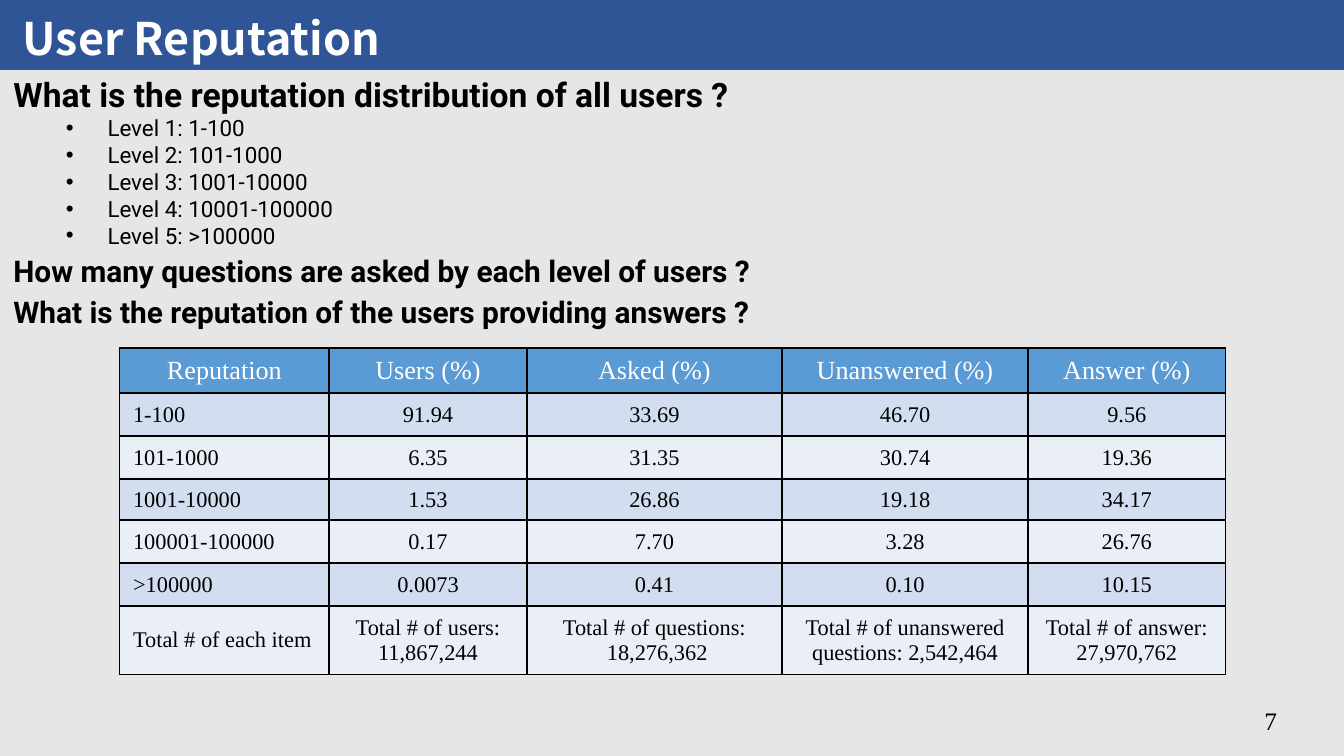
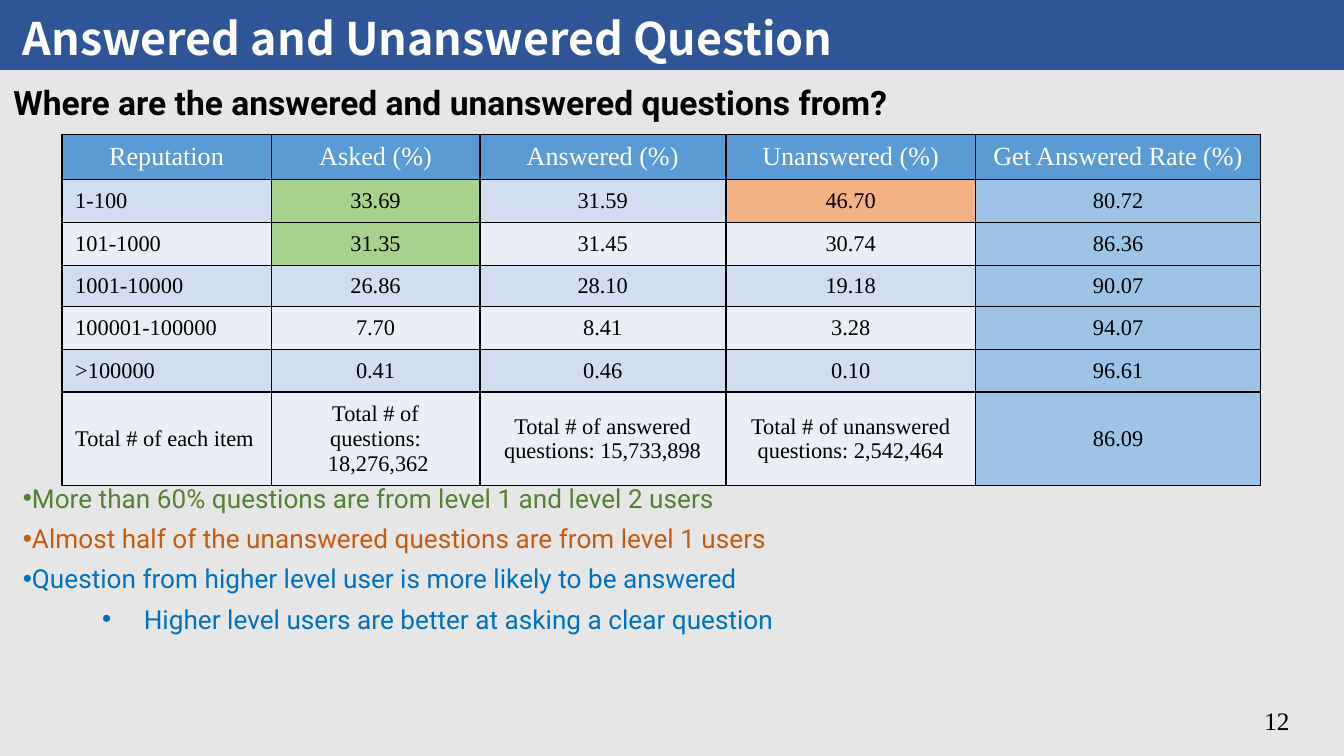
from lxml import etree
from pptx import Presentation
from pptx.dml.color import RGBColor
from pptx.enum.shapes import MSO_SHAPE
from pptx.enum.text import MSO_ANCHOR, MSO_AUTO_SIZE, PP_ALIGN
from pptx.oxml import parse_xml
from pptx.oxml.ns import nsdecls, qn
from pptx.util import Inches, Pt

TOP, MIDDLE = MSO_ANCHOR.TOP, MSO_ANCHOR.MIDDLE
LEFT, CENTER = PP_ALIGN.LEFT, PP_ALIGN.CENTER
NO_AUTOFIT = MSO_AUTO_SIZE.NONE
RECTANGLE = MSO_SHAPE.RECTANGLE

BACKGROUND = RGBColor(0xE7, 0xE6, 0xE6)
BAND = RGBColor(0x2F, 0x55, 0x97)
WHITE = RGBColor(0xFF, 0xFF, 0xFF)
BLACK = RGBColor(0x00, 0x00, 0x00)
HEADER_FILL = RGBColor(0x5B, 0x9B, 0xD5)
ROW_FILLS = [RGBColor(0xEA, 0xEF, 0xF7), RGBColor(0xD2, 0xDE, 0xEF)]
GREEN_FILL = RGBColor(0xA9, 0xD1, 0x8E)
ORANGE_FILL = RGBColor(0xF4, 0xB1, 0x83)
BLUE_FILL = RGBColor(0x9D, 0xC3, 0xE6)
GREEN = RGBColor(0x54, 0x82, 0x35)
ORANGE = RGBColor(0xC5, 0x5A, 0x11)
BLUE = RGBColor(0x00, 0x70, 0xC0)

TITLE_FONT, BODY_FONT, TABLE_FONT = "Noto Sans CJK SC", "Roboto", "Times New Roman"

# Paragraph styles: font values, paragraph values, left margin, bullet or not
STYLES = {
    "title": ({"name": TITLE_FONT, "size": Pt(24), "bold": True},
              {"level": 0, "line_spacing": 1.12}, 0, False),
    "number": ({"name": TABLE_FONT, "size": Pt(13.5), "bold": False},
               {"level": 0}, 0, False),
    "heading": ({"name": BODY_FONT, "size": Pt(18), "bold": True},
                {"level": 1, "line_spacing": Pt(21.6)}, 0, False),
    "question": ({"name": BODY_FONT, "size": Pt(16), "bold": True},
                 {"level": 1, "line_spacing": Pt(21.6)}, 0, False),
    "level": ({"name": BODY_FONT, "size": Pt(12), "bold": False},
              {"level": 2, "line_spacing": 1.0}, 0.7, True),
    "finding": ({"name": BODY_FONT, "size": Pt(14), "bold": False},
                {"level": 1, "line_spacing": Pt(21.6)}, 0, True),
    "reason": ({"name": BODY_FONT, "size": Pt(14), "bold": False},
               {"level": 3, "line_spacing": Pt(21.6)}, 0.9, True),
}
BULLET_INDENT = -0.31

LEVELS = ["1-100", "101-1000", "1001-10000", "100001-100000", ">100000"]
FIRST_COLUMN = ["Reputation", *LEVELS, "Total # of each item"]
ASKED = ["Asked (%)", "33.69", "31.35", "26.86", "7.70", "0.41",
         "Total # of questions:\n 18,276,362"]
UNANSWERED = ["Unanswered (%)", "46.70", "30.74", "19.18", "3.28", "0.10",
              "Total # of unanswered questions: 2,542,464"]
ROW_HEIGHTS = [0.32, 0.32, 0.32, 0.3, 0.32, 0.32, 0.32]
CELL_MARGINS = [0.06] * 6 + [0.07]

SLIDES = [
    {
        "layout": 1,
        "number": "7",
        "title": "User Reputation",
        "title_height": 0.52,
        "table_at": (0.89, 2.59),
        "widths": [1.56, 1.47, 1.9, 1.83, 1.47],
        "columns": [
            FIRST_COLUMN,
            ["Users (%)", "91.94", "6.35", "1.53", "0.17", "0.0073",
             "Total # of users: 11,867,244"],
            ASKED,
            UNANSWERED,
            ["Answer (%)", "9.56", "19.36", "34.17", "26.76", "10.15",
             "Total # of answer: 27,970,762"],
        ],
        "highlights": {},
        "bodies": [
            ((0, 0.5, 9.14, 2.01), [
                ("What is the reputation distribution of all users ?", "heading", BLACK),
                ("Level 1: 1-100", "level", BLACK),
                ("Level 2: 101-1000", "level", BLACK),
                ("Level 3: 1001-10000", "level", BLACK),
                ("Level 4: 10001-100000", "level", BLACK),
                ("Level 5: >100000", "level", BLACK),
                ("How many questions are asked by each level of users ?", "question", BLACK),
                ("What is the reputation of the users providing answers ?", "question", BLACK),
            ]),
        ],
    },
    {
        "layout": 3,
        "number": "12",
        "title": "Answered and Unanswered Question",
        "title_height": 0.97,
        "table_at": (0.46, 1),
        "widths": [1.56, 1.55, 1.83, 1.86, 2.12],
        "columns": [
            FIRST_COLUMN,
            ASKED,
            ["Answered (%)", "31.59", "31.45", "28.10", "8.41", "0.46",
             "Total # of answered questions: 15,733,898"],
            UNANSWERED,
            ["Get Answered Rate (%)", "80.72", "86.36", "90.07", "94.07", "96.61", "86.09"],
        ],
        "highlights": {(1, 1): GREEN_FILL, (2, 1): GREEN_FILL, (1, 3): ORANGE_FILL,
                       **{(row, 4): BLUE_FILL for row in range(1, 7)}},
        "bodies": [
            ((0, 0.56, 9.31, 0.39), [
                ("Where are the answered and unanswered questions from?", "heading", BLACK),
            ]),
            ((0.07, 3.47, 9.24, 1.3), [
                ("More than 60% questions are from level 1 and level 2 users", "finding", GREEN),
                ("Almost half of the unanswered questions are from level 1 users",
                 "finding", ORANGE),
                ("Question from higher level user is more likely to be answered",
                 "finding", BLUE),
                ("Higher level users are better at asking a clear question", "reason", BLUE),
            ]),
        ],
    },
]


def write_text(shape, box, paragraphs):
    """Place the shape and fill it with (text, style name, colour) paragraphs."""
    shape.left, shape.top, shape.width, shape.height = map(Inches, box)
    frame = shape.text_frame
    frame.word_wrap = True
    frame.auto_size = NO_AUTOFIT
    frame.vertical_anchor = TOP
    frame.text = "\n".join(text for text, _, _ in paragraphs)
    for paragraph, (_, style, color) in zip(frame.paragraphs, paragraphs):
        font_values, paragraph_values, margin, bulleted = STYLES[style]
        for name, value in font_values.items():
            setattr(paragraph.runs[0].font, name, value)
        paragraph.runs[0].font.color.rgb = color
        for name, value in paragraph_values.items():
            setattr(paragraph, name, value)
        paragraph.alignment = LEFT
        paragraph.space_before = paragraph.space_after = Pt(0)
        properties = paragraph._p.get_or_add_pPr()
        properties.set("marL", str(Inches(margin)))
        properties.set("indent", str(Inches(BULLET_INDENT if bulleted else 0)))
        if bulleted:
            etree.SubElement(properties, qn("a:buFont"), typeface="Arial")
            etree.SubElement(properties, qn("a:buChar"), char="•")
        else:
            etree.SubElement(properties, qn("a:buNone"))


def format_cell(cell, text, fill, size, color, alignment):
    cell.text = text
    cell.vertical_anchor = MIDDLE
    cell.margin_left = cell.margin_right = Inches(0.1)
    cell.fill.solid()
    cell.fill.fore_color.rgb = fill
    for paragraph in cell.text_frame.paragraphs:
        paragraph.alignment = alignment
        font = paragraph.runs[0].font
        font.name, font.size, font.bold = TABLE_FONT, size, False
        font.color.rgb = color
    properties = cell._tc.get_or_add_tcPr()
    for position, side in enumerate(["lnL", "lnR", "lnT", "lnB"]):
        properties.insert(position, parse_xml(
            f'<a:{side} {nsdecls("a")} w="{Pt(1)}"><a:solidFill>'
            f'<a:srgbClr val="{BLACK}"/></a:solidFill></a:{side}>'))


presentation = Presentation()
presentation.slide_width = Inches(10)
presentation.slide_height = Inches(10) * 9 // 16
master = presentation.slide_master
master.background.fill.solid()
master.background.fill.fore_color.rgb = BACKGROUND

for content in SLIDES:
    slide = presentation.slides.add_slide(presentation.slide_layouts[content["layout"]])
    shapes = slide.shapes

    # The band is drawn once and handed to the master, which shows it on every slide
    if content is SLIDES[0]:
        band = shapes.add_shape(RECTANGLE, 0, 0, Inches(10), Inches(0.52))
        band.shadow.inherit = False
        band.fill.solid()
        band.fill.fore_color.rgb = BAND
        band.line.fill.background()
        master.shapes.element.append(band.element)

    write_text(shapes.title, (0.07, -0.02, 8.12, content["title_height"]),
               [(content["title"], "title", WHITE)])
    page_number = shapes.add_textbox(0, 0, 0, 0)
    write_text(page_number, (9.31, 5.2, 0.54, 0.3), [(content["number"], "number", BLACK)])

    left, top = content["table_at"]
    columns, widths = content["columns"], content["widths"]
    table = shapes.add_table(len(ROW_HEIGHTS), len(columns), Inches(left), Inches(top),
                             Inches(sum(widths)), Inches(sum(ROW_HEIGHTS))).table
    for row, height in zip(table.rows, ROW_HEIGHTS):
        row.height = Inches(height)
    for column_index, (texts, width) in enumerate(zip(columns, widths)):
        table.columns[column_index].width = Inches(width)
        for row_index, text in enumerate(texts):
            cell = table.cell(row_index, column_index)
            cell.margin_top = cell.margin_bottom = Inches(CELL_MARGINS[row_index])
            if row_index == 0:
                format_cell(cell, text, HEADER_FILL, Pt(14), WHITE, CENTER)
            else:
                fill = content["highlights"].get((row_index, column_index),
                                                 ROW_FILLS[row_index % 2])
                format_cell(cell, text, fill, Pt(12), BLACK,
                            CENTER if column_index else LEFT)

    # Body text lies in front of the table
    for index, (box, paragraphs) in enumerate(content["bodies"], start=1):
        body = slide.placeholders[index]
        write_text(body, box, paragraphs)
        shapes.element.append(body.element)

presentation.save("out.pptx")
